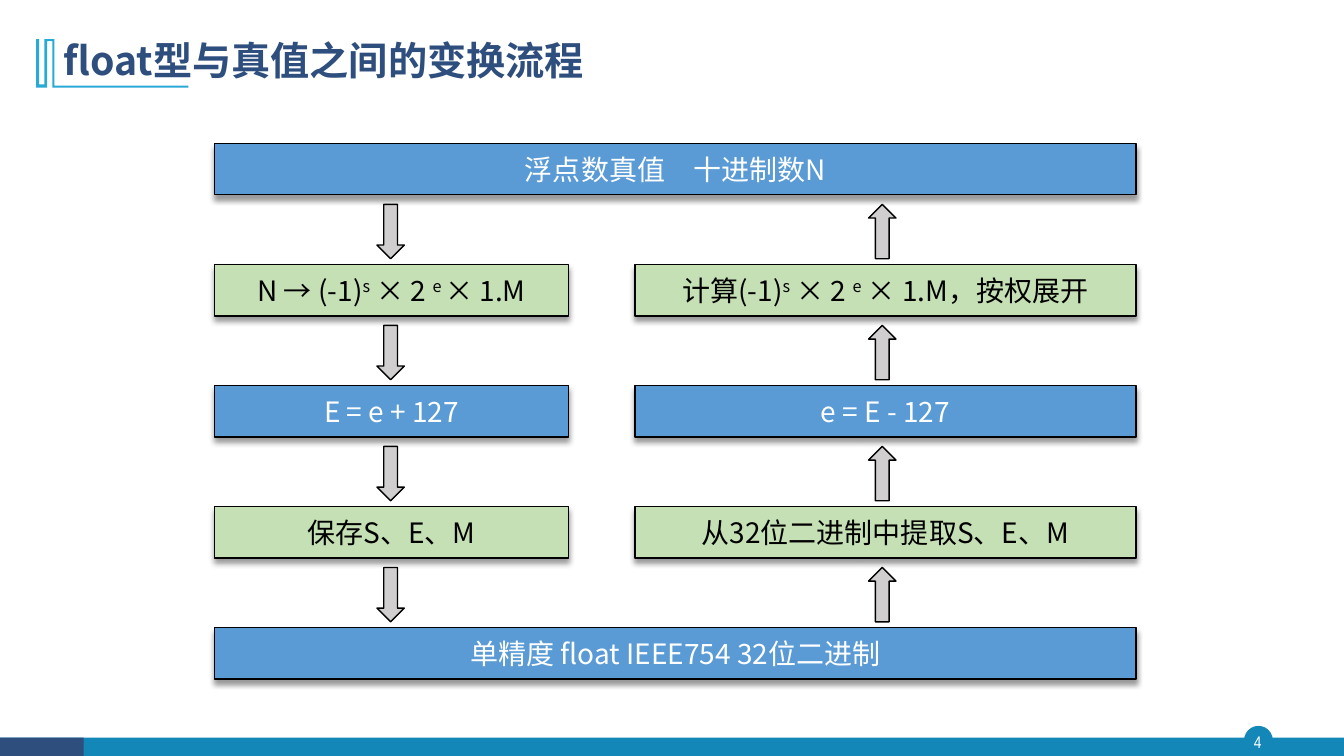
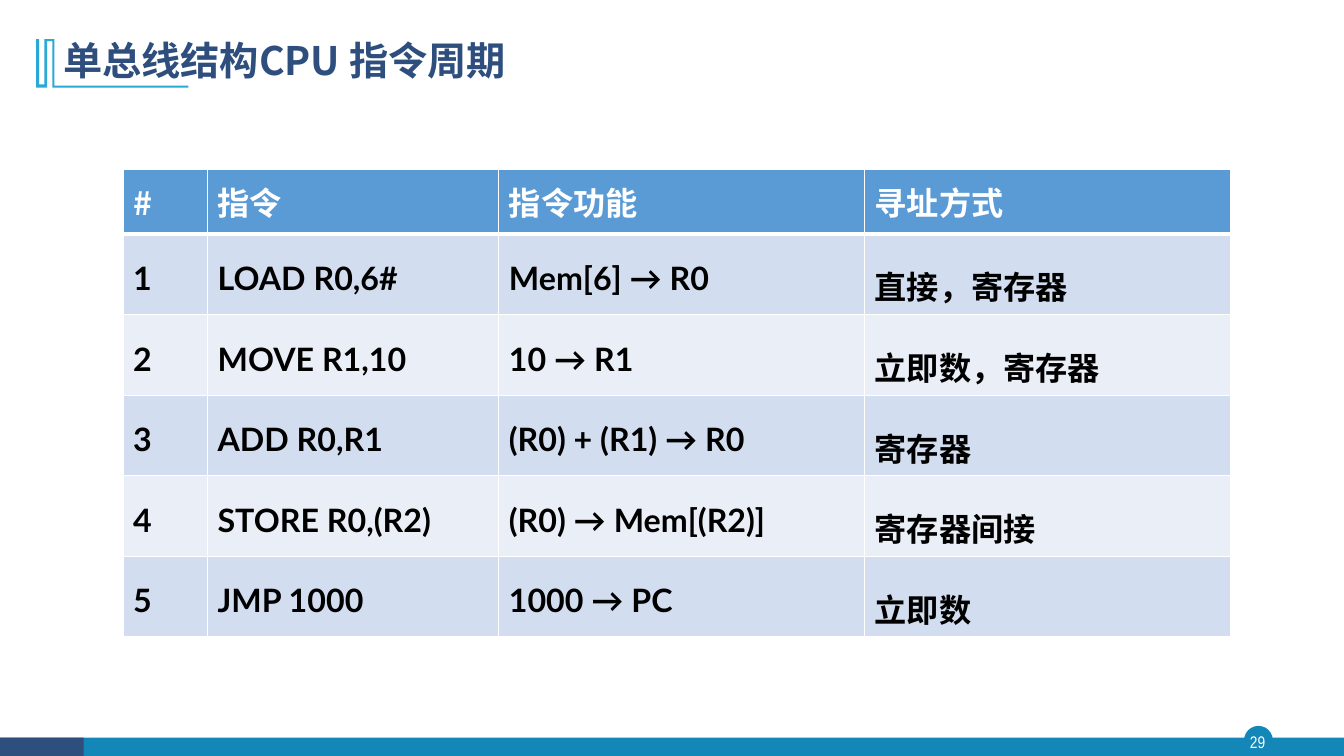
"""Build two course slides: the float conversion flow and the CPU instruction table."""
from dataclasses import dataclass

from lxml import etree
from pptx import Presentation
from pptx.dml.color import RGBColor as RGB
from pptx.enum.shapes import MSO_SHAPE as SHAPE
from pptx.enum.text import MSO_ANCHOR as ANCHOR, PP_ALIGN as ALIGN
from pptx.oxml import parse_xml
from pptx.oxml.ns import nsdecls, qn
from pptx.util import Cm, Pt


@dataclass(frozen=True)
class Theme:
    navy: str = "2E4E7E"
    teal: str = "1387B7"
    cyan: str = "28A9D6"
    blue: str = "5B9BD5"
    green: str = "C5E0B4"
    grey: str = "D0CECE"
    band_dark: str = "D2DEEF"
    band_light: str = "EAEFF7"
    white: str = "FFFFFF"
    black: str = "000000"
    cjk: str = "Noto Sans CJK SC"
    latin: str = "Lato"
    narrow: str = "Arial Narrow"
    title: int = 28
    cell: int = 23
    box: int = 20
    number: int = 12


T = Theme()


def write(tf, text, color, size, name=T.cjk, bold=False, **para):
    """Fill a text frame; parts between carets are superscript."""
    p = tf.paragraphs[0]
    for key, value in para.items():
        setattr(p, key, value)
    for i, part in enumerate(text.split("^")):
        r = p.add_run()
        r.text = part
        for key, value in {"size": Pt(size), "name": name, "bold": bold}.items():
            setattr(r.font, key, value)
        r.font.color.rgb = RGB.from_string(color)
        rPr = r._r.get_or_add_rPr()
        etree.SubElement(rPr, qn("a:ea"), typeface=T.cjk)
        if i % 2:
            rPr.set("baseline", "30000")


def paint(sp, fill, line=None):
    """Give a shape a flat fill and an optional one-point outline."""
    sp.shadow.inherit = False
    sp.fill.solid()
    sp.fill.fore_color.rgb = RGB.from_string(fill)
    if line:
        sp.line.color.rgb = RGB.from_string(line)
        sp.line.width = Pt(1)
    else:
        sp.line.fill.background()
    return sp


prs = Presentation()
prs.slide_width, prs.slide_height = Cm(33.87), Cm(19.05)

furniture = [
    (SHAPE.OVAL, 31.37, 18.31, 0.69, 0.69, T.teal, T.teal),
    (SHAPE.RECTANGLE, 0, 18.59, 33.87, 0.46, T.teal, None),
    (SHAPE.RECTANGLE, 0, 18.59, 2.11, 0.46, T.navy, None),
]
ornament = [
    (1.37, 0.99), (1.37, 2.16), (4.75, 2.16), (4.75, 2.21), (1.32, 2.21),
    (1.32, 1.04), (1.19, 1.04), (1.19, 2.21), (0.91, 2.21), (0.91, 0.99),
    (0.99, 0.99), (0.99, 2.13), (1.12, 2.13), (1.12, 0.99),
]
slides = []
for title, number in [("float型与真值之间的变换流程", "4"), ("单总线结构CPU 指令周期", "29")]:
    s = prs.slides.add_slide(prs.slide_layouts[6])
    slides.append(s)
    for kind, x, y, w, h, fill, line in furniture:
        paint(s.shapes.add_shape(kind, Cm(x), Cm(y), Cm(w), Cm(h)), fill, line)
    points = [(Cm(x), Cm(y)) for x, y in ornament]
    outline = s.shapes.build_freeform(*points[0])
    outline.add_line_segments(points[1:])
    paint(outline.convert_to_shape(), T.cyan)

    tf = s.shapes.add_textbox(Cm(31.29), Cm(18.31), Cm(0.81), Cm(0.79)).text_frame
    for key in ("margin_left", "margin_top", "margin_right", "margin_bottom"):
        setattr(tf, key, 0)
    tf.word_wrap, tf.vertical_anchor = True, ANCHOR.MIDDLE
    write(tf, number, T.white, T.number, T.narrow, alignment=ALIGN.CENTER)

    tf = s.shapes.add_textbox(Cm(1.35), Cm(0.71), Cm(29.21), Cm(1.73)).text_frame
    tf.word_wrap, tf.vertical_anchor = True, ANCHOR.MIDDLE
    write(tf, title, T.navy, T.title, bold=True, line_spacing=0.9)

flow, cycle = slides

top, step, box_h = 3.61, 3.05, 1.3
full, left, right = (5.41, 23.22), (5.41, 8.92), (16, 12.63)
boxes = [
    (0, full, "浮点数真值　十进制数N"),
    (1, left, "N → (-1)^s^ × 2 ^e ^× 1.M"),
    (1, right, "计算(-1)^s^ × 2 ^e^ × 1.M，按权展开"),
    (2, left, "E = e + 127"),
    (2, right, "e = E - 127"),
    (3, left, "保存S、E、M"),
    (3, right, "从32位二进制中提取S、E、M"),
    (4, full, "单精度 float IEEE754 32位二进制"),
]
for row, (x, w), text in boxes:
    fill, color = (T.green, T.black) if row % 2 else (T.blue, T.white)
    sp = flow.shapes.add_shape(SHAPE.RECTANGLE, Cm(x), Cm(top + row * step), Cm(w), Cm(box_h))
    paint(sp, fill, T.black)
    sp._element.spPr.find(qn("a:effectLst")).append(parse_xml(
        f'<a:outerShdw {nsdecls("a")} blurRad="{Pt(4)}" dist="{Pt(3)}" dir="5400000" algn="t" '
        f'rotWithShape="0"><a:srgbClr val="{T.black}"><a:alpha val="40000"/></a:srgbClr></a:outerShdw>'))
    sp.text_frame.vertical_anchor = ANCHOR.MIDDLE
    write(sp.text_frame, text, color, T.box, alignment=ALIGN.CENTER)

for row in range(4):
    for kind, x in [(SHAPE.DOWN_ARROW, 9.5), (SHAPE.UP_ARROW, 21.89)]:
        y = top + row * step + 1.54
        paint(flow.shapes.add_shape(kind, Cm(x), Cm(y), Cm(0.69), Cm(1.37)), T.grey, T.black)

rows = [
    ("#", "指令", "指令功能", "寻址方式"),
    ("1", "LOAD R0,6#", "Mem[6] → R0", "直接，寄存器"),
    ("2", "MOVE R1,10", "10 → R1", "立即数，寄存器"),
    ("3", "ADD R0,R1", "(R0) + (R1) → R0", "寄存器"),
    ("4", "STORE R0,(R2)", "(R0) → Mem[(R2)]", "寄存器间接"),
    ("5", "JMP 1000", "1000 → PC", "立即数"),
]
widths, heights = [2.13, 7.34, 9.22, 9.22], [1.63] + [2.03] * 5
table = cycle.shapes.add_table(len(rows), len(widths), Cm(3.1), Cm(4.27),
                               Cm(sum(widths)), Cm(sum(heights))).table
for col, w in zip(table.columns, widths):
    col.width = Cm(w)
for i, (texts, h) in enumerate(zip(rows, heights)):
    table.rows[i].height = Cm(h)
    for j, text in enumerate(texts):
        cell = table.cell(i, j)
        tcPr = cell._tc.get_or_add_tcPr()
        for side in "LRTB":
            thick = (i, side) in [(0, "B"), (1, "T")]
            tcPr.append(parse_xml(
                f'<a:ln{side} {nsdecls("a")} w="{Pt(3 if thick else 1)}"><a:solidFill>'
                f'<a:srgbClr val="{T.white}"/></a:solidFill></a:ln{side}>'))
        cell.fill.solid()
        if i == 0:
            fill = T.blue
            cell.vertical_anchor = ANCHOR.MIDDLE
            write(cell.text_frame, text, T.white, T.cell, bold=True)
        else:
            fill = T.band_dark if i % 2 else T.band_light
            write(cell.text_frame, text, T.black, T.cell, T.latin, True, line_spacing=1.5)
        cell.fill.fore_color.rgb = RGB.from_string(fill)

prs.save("out.pptx")
